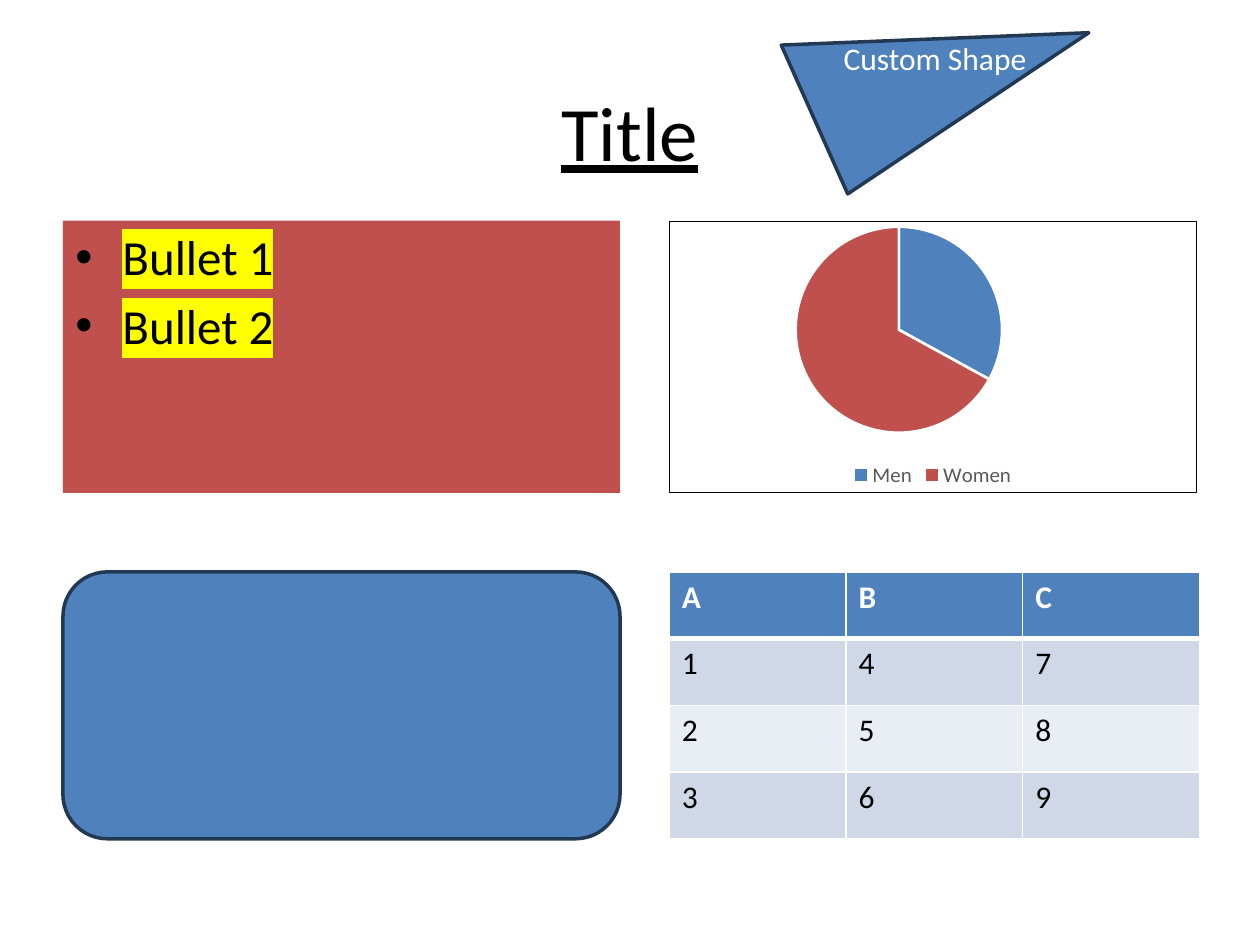
from lxml import etree
from pptx import Presentation
from pptx.chart.data import CategoryChartData
from pptx.dml.color import RGBColor
from pptx.enum.chart import XL_CHART_TYPE, XL_LEGEND_POSITION
from pptx.enum.shapes import MSO_SHAPE
from pptx.enum.text import MSO_ANCHOR, PP_ALIGN
from pptx.oxml import parse_xml
from pptx.oxml.ns import nsdecls, qn
from pptx.util import Cm, Pt

PIE, LEGEND_BOTTOM = XL_CHART_TYPE.PIE, XL_LEGEND_POSITION.BOTTOM
RECTANGLE, ROUNDED = MSO_SHAPE.RECTANGLE, MSO_SHAPE.ROUNDED_RECTANGLE
TOP, MIDDLE = MSO_ANCHOR.TOP, MSO_ANCHOR.MIDDLE
LEFT, CENTER = PP_ALIGN.LEFT, PP_ALIGN.CENTER

FONT = "Calibri"
BLACK = RGBColor(0x00, 0x00, 0x00)
WHITE = RGBColor(0xFF, 0xFF, 0xFF)
GREY = RGBColor(0x59, 0x59, 0x59)
BLUE = RGBColor(0x4F, 0x81, 0xBD)
NAVY = RGBColor(0x23, 0x39, 0x53)
RED = RGBColor(0xC0, 0x50, 0x4D)
YELLOW = RGBColor(0xFF, 0xFF, 0x00)
BAND_DARK = RGBColor(0xD0, 0xD8, 0xE8)
BAND_LIGHT = RGBColor(0xE9, 0xED, 0xF4)

# Two columns and two rows of content
LEFT_X, RIGHT_X = Cm(1.27), Cm(13.49)
UPPER_Y, LOWER_Y = Cm(4.45), Cm(11.53)
LEFT_WIDTH = Cm(11.23)
UPPER_HEIGHT, LOWER_HEIGHT = Cm(5.49), Cm(5.38)


def style_font(font, size, color, bold=False):
    font.name = FONT
    font.size = Pt(size)
    font.bold = bold
    font.color.rgb = color


def style_shape(shape, fill, line=None):
    shape.shadow.inherit = False
    shape.fill.solid()
    shape.fill.fore_color.rgb = fill
    if line is None:
        shape.line.fill.background()
    else:
        shape.line.color.rgb = line
        shape.line.width = Pt(2)


def add_title(page, text):
    box = page.shapes.add_textbox(LEFT_X, Cm(1.32), Cm(22.86), Cm(2.62))
    frame = box.text_frame
    frame.word_wrap = True
    frame.vertical_anchor = MIDDLE
    frame.text = text
    para = frame.paragraphs[0]
    para.alignment = CENTER
    span = para.runs[0]
    style_font(span.font, 44, BLACK)
    span.font.underline = True


def highlight(span, color):
    fill = span._r.get_or_add_rPr().find(qn("a:solidFill"))
    fill.addnext(parse_xml(
        f'<a:highlight {nsdecls("a")}><a:srgbClr val="{color}"/></a:highlight>'))


def add_bullet_panel(page, items):
    panel = page.shapes.add_shape(
        RECTANGLE, LEFT_X, UPPER_Y, LEFT_WIDTH, UPPER_HEIGHT)
    style_shape(panel, RED)
    frame = panel.text_frame
    frame.word_wrap = True
    frame.vertical_anchor = TOP
    frame.text = "\n".join(items)
    for index, para in enumerate(frame.paragraphs):
        para.alignment = LEFT
        if index:
            para.space_before = Pt(5.6)
        props = para._p.get_or_add_pPr()
        props.set("marL", str(Cm(0.95)))
        props.set("indent", str(-Cm(0.95)))
        etree.SubElement(props, qn("a:buFont")).set("typeface", "Arial")
        etree.SubElement(props, qn("a:buChar")).set("char", "•")
        style_font(para.runs[0].font, 28, BLACK)
        highlight(para.runs[0], YELLOW)


def add_pie(page, slices):
    data = CategoryChartData()
    data.categories = [name for name, _, _ in slices]
    data.add_series("Series 1", [value for _, value, _ in slices])
    chart = page.shapes.add_chart(
        PIE, RIGHT_X, UPPER_Y, Cm(10.64), UPPER_HEIGHT, data).chart
    style_font(chart.font, 10, BLACK)
    chart.has_title = False
    chart.has_legend = True
    chart.legend.position = LEGEND_BOTTOM
    chart.legend.include_in_layout = False
    style_font(chart.legend.font, 12, GREY)

    plot = chart.plots[0]
    plot.vary_by_categories = True
    for index, (_, _, color) in enumerate(slices):
        look = plot.series[0].points[index].format
        look.fill.solid()
        look.fill.fore_color.rgb = color
        look.line.color.rgb = WHITE
        look.line.width = Pt(1.5)

    # Fixed plot position, as fractions of the chart
    space = chart._chartSpace
    area = space.chart.plotArea
    for old in area.findall(qn("c:layout")):
        area.remove(old)
    places = "".join(f'<c:{tag} val="{value}"/>' for tag, value in (
        ("layoutTarget", "inner"), ("xMode", "edge"), ("yMode", "edge"),
        ("x", 0.23), ("y", 0.02), ("w", 0.41), ("h", 0.76)))
    area.insert(0, parse_xml(
        f'<c:layout {nsdecls("c")}><c:manualLayout>{places}'
        '</c:manualLayout></c:layout>'))

    # Chart frame
    space.chart.addnext(parse_xml(
        f'<c:spPr {nsdecls("c", "a")}><a:noFill/><a:ln w="{Pt(0.75)}">'
        f'<a:solidFill><a:srgbClr val="{BLACK}"/></a:solidFill></a:ln></c:spPr>'))


def set_borders(cell, top=1, bottom=1):
    props = cell._tc.get_or_add_tcPr()
    widths = (("lnL", 1), ("lnR", 1), ("lnT", top), ("lnB", bottom))
    for index, (tag, width) in enumerate(widths):
        props.insert(index, parse_xml(
            f'<a:{tag} {nsdecls("a")} w="{Pt(width)}"><a:solidFill>'
            f'<a:srgbClr val="{WHITE}"/></a:solidFill></a:{tag}>'))


def add_grid(page, rows):
    table = page.shapes.add_table(
        len(rows), len(rows[0]), RIGHT_X, LOWER_Y, Cm(10.69), LOWER_HEIGHT).table
    for row_index, values in enumerate(rows):
        header = row_index == 0
        band = BAND_DARK if row_index % 2 else BAND_LIGHT
        for column_index, value in enumerate(values):
            cell = table.cell(row_index, column_index)
            cell.text = value
            cell.fill.solid()
            cell.fill.fore_color.rgb = BLUE if header else band
            set_borders(cell, top=3 if row_index == 1 else 1,
                        bottom=3 if header else 1)
            style_font(cell.text_frame.paragraphs[0].runs[0].font, 18,
                       WHITE if header else BLACK, bold=header)


def add_triangle(page, corners, text):
    start, *others = [(Cm(x), Cm(y)) for x, y in corners]
    builder = page.shapes.build_freeform(*start, scale=1.0)
    builder.add_line_segments(others, close=True)
    triangle = builder.convert_to_shape()
    style_shape(triangle, BLUE, NAVY)
    frame = triangle.text_frame
    frame.word_wrap = True
    frame.vertical_anchor = TOP
    frame.text = text
    para = frame.paragraphs[0]
    para.alignment = CENTER
    style_font(para.runs[0].font, 18, WHITE)


def main():
    deck = Presentation()
    deck.slide_width, deck.slide_height = Cm(25.4), Cm(19.05)
    page = deck.slides.add_slide(deck.slide_layouts[6])

    add_title(page, "Title")
    add_bullet_panel(page, ["Bullet 1", "Bullet 2"])
    add_pie(page, [("Men", 33, BLUE), ("Women", 67, RED)])
    add_grid(page, ["ABC", "147", "258", "369"])

    # Rounded panel
    panel = page.shapes.add_shape(
        ROUNDED, LEFT_X, LOWER_Y, LEFT_WIDTH, LOWER_HEIGHT)
    style_shape(panel, BLUE, NAVY)

    add_triangle(page, [(15.75, 0.91), (17.09, 3.91), (21.95, 0.66)],
                 "Custom Shape")
    deck.save("out.pptx")


if __name__ == "__main__":
    main()
